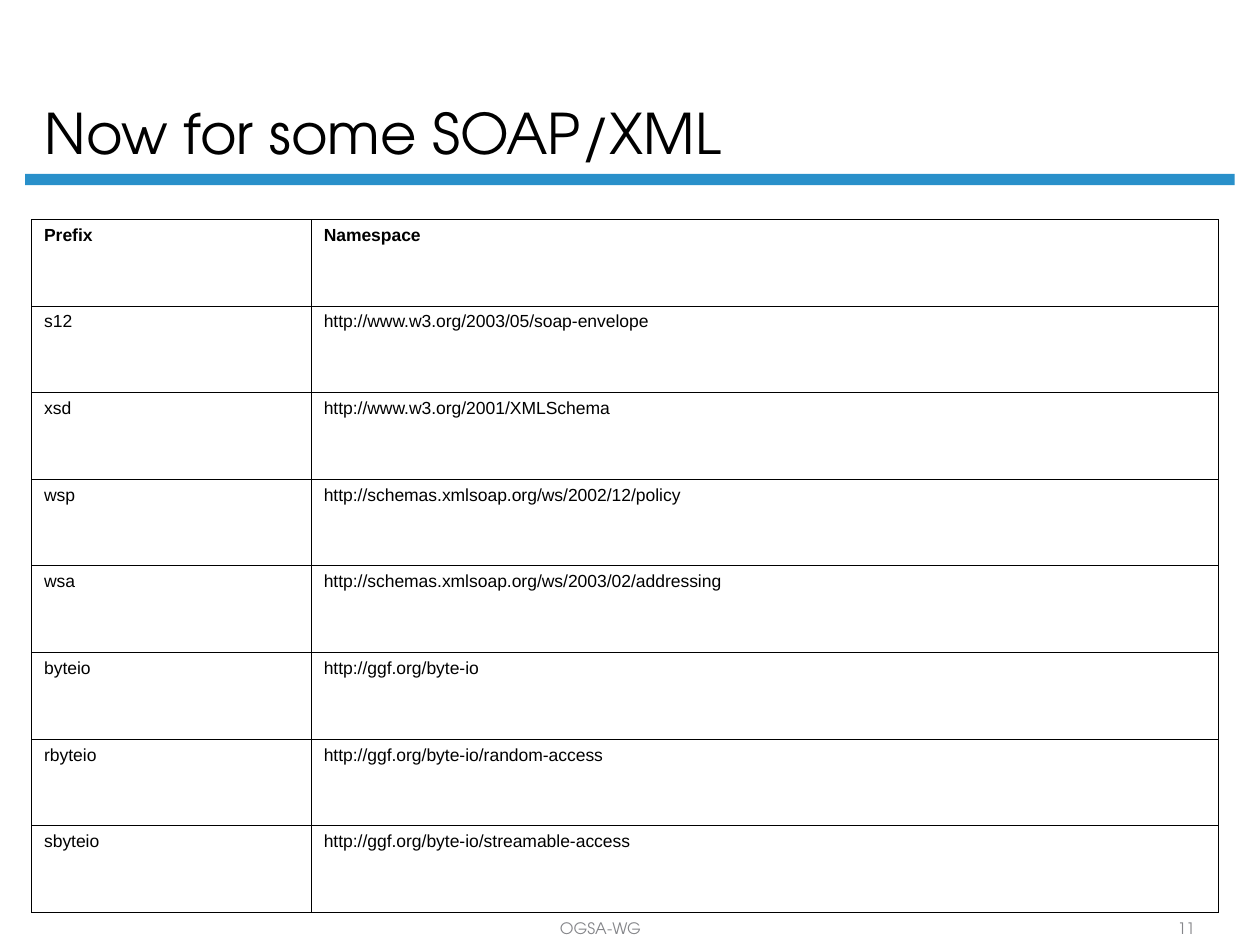
from dataclasses import dataclass
from typing import Any

import pptx
import pptx.dml.color
import pptx.enum.shapes
import pptx.enum.text
import pptx.oxml
import pptx.oxml.ns
import pptx.util

SLIDE_WIDTH = pptx.util.Inches(10)
SLIDE_HEIGHT = pptx.util.Inches(7.5)
ANCHOR = pptx.enum.text.MSO_ANCHOR
ALIGN = pptx.enum.text.PP_ALIGN


@dataclass(frozen=True)
class Theme:
    ink: str = "000000"
    accent: str = "2990CA"
    muted: str = "848589"
    display_font: str = "TeX Gyre Adventor"
    table_font: str = "Arial"
    title_size: int = 32
    table_size: int = 10
    footer_size: int = 9
    border_width: float = 0.34


@dataclass(frozen=True)
class Box:
    left: float
    top: float
    width: float
    height: float

    def lengths(self) -> tuple[int, int, int, int]:
        return (
            round(self.left / 10 * SLIDE_WIDTH),
            round(self.top / 7.5 * SLIDE_HEIGHT),
            round(self.width / 10 * SLIDE_WIDTH),
            round(self.height / 7.5 * SLIDE_HEIGHT),
        )


@dataclass(frozen=True)
class Namespace:
    prefix: str
    address: str


@dataclass(frozen=True)
class FooterItem:
    text: str
    box: Box


THEME = Theme()
TITLE_BOX = Box(0.25, 0.12, 8.56, 1.25)
RULE_BOX = Box(0.2, 1.38, 9.6, 0.09)
TABLE_BOX = Box(0.25, 1.74, 9.42, 5.5)
PREFIX_SHARE = 2.22 / 9.42
HEADING = Namespace("Prefix", "Namespace")
NAMESPACES = [
    Namespace("s12", "http://www.w3.org/2003/05/soap-envelope"),
    Namespace("xsd", "http://www.w3.org/2001/XMLSchema"),
    Namespace("wsp", "http://schemas.xmlsoap.org/ws/2002/12/policy"),
    Namespace("wsa", "http://schemas.xmlsoap.org/ws/2003/02/addressing"),
    Namespace("byteio", "http://ggf.org/byte-io"),
    Namespace("rbyteio", "http://ggf.org/byte-io/random-access"),
    Namespace("sbyteio", "http://ggf.org/byte-io/streamable-access"),
]
FOOTER = [
    FooterItem("OGSA-WG", Box(2.33, 7.25, 4.87, 0.24)),
    FooterItem("11", Box(9, 7.25, 0.83, 0.24)),
]


def apply_format(target: Any, values: dict[str, Any]) -> None:
    for name, value in values.items():
        setattr(target, name, value)


def write_text(frame: Any, text: str, font: str, size: int, color: str,
               bold: bool = False, **paragraph_format: Any) -> None:
    frame.text = text
    paragraph = frame.paragraphs[0]
    apply_format(paragraph, paragraph_format)
    run_font = paragraph.runs[0].font
    apply_format(run_font, {"name": font, "size": pptx.util.Pt(size), "bold": bold})
    run_font.color.rgb = pptx.dml.color.RGBColor.from_string(color)


def add_title(slide: Any, text: str) -> None:
    title = slide.shapes.title
    apply_format(title, dict(zip(("left", "top", "width", "height"), TITLE_BOX.lengths())))
    apply_format(title.text_frame, {
        "vertical_anchor": ANCHOR.BOTTOM,
        "auto_size": pptx.enum.text.MSO_AUTO_SIZE.NONE,
        "word_wrap": True,
    })
    write_text(title.text_frame, text, THEME.display_font, THEME.title_size, THEME.ink,
               alignment=ALIGN.LEFT, line_spacing=0.9)


def add_rule(slide: Any) -> None:
    rule = slide.shapes.add_shape(
        pptx.enum.shapes.MSO_SHAPE.RECTANGLE, *RULE_BOX.lengths())
    rule.shadow.inherit = False
    rule.fill.solid()
    rule.fill.fore_color.rgb = pptx.dml.color.RGBColor.from_string(THEME.accent)
    rule.line.fill.background()


def add_borders(cell: Any) -> None:
    properties = cell._tc.get_or_add_tcPr()
    width = pptx.util.Pt(THEME.border_width)
    for position, side in enumerate(("lnL", "lnR", "lnT", "lnB")):
        properties.insert(position, pptx.oxml.parse_xml(
            f'<a:{side} {pptx.oxml.ns.nsdecls("a")} w="{width}"><a:solidFill>'
            f'<a:srgbClr val="{THEME.ink}"/></a:solidFill></a:{side}>'))


def add_namespace_table(slide: Any) -> None:
    rows = [HEADING, *NAMESPACES]
    table = slide.shapes.add_table(len(rows), 2, *TABLE_BOX.lengths()).table
    apply_format(table, {"first_row": False, "horz_banding": False})
    width = TABLE_BOX.lengths()[2]
    for column, share in zip(table.columns, (PREFIX_SHARE, 1 - PREFIX_SHARE)):
        column.width = round(width * share)
    for row, namespace in zip(table.rows, rows):
        for cell, text in zip(row.cells, (namespace.prefix, namespace.address)):
            cell.fill.background()
            add_borders(cell)
            write_text(cell.text_frame, text, THEME.table_font, THEME.table_size,
                       THEME.ink, bold=namespace is HEADING)


def add_footer_item(slide: Any, item: FooterItem) -> None:
    frame = slide.shapes.add_textbox(*item.box.lengths()).text_frame
    apply_format(frame, {"word_wrap": True, "vertical_anchor": ANCHOR.BOTTOM})
    write_text(frame, item.text, THEME.display_font, THEME.footer_size, THEME.muted,
               alignment=ALIGN.CENTER)


def main() -> None:
    presentation = pptx.Presentation()
    apply_format(presentation, {"slide_width": SLIDE_WIDTH, "slide_height": SLIDE_HEIGHT})
    slide = presentation.slides.add_slide(presentation.slide_layouts.get_by_name("Title Only"))
    add_rule(slide)
    add_title(slide, "Now for some SOAP/XML")
    add_namespace_table(slide)
    for item in FOOTER:
        add_footer_item(slide, item)
    presentation.save("out.pptx")


if __name__ == "__main__":
    main()
